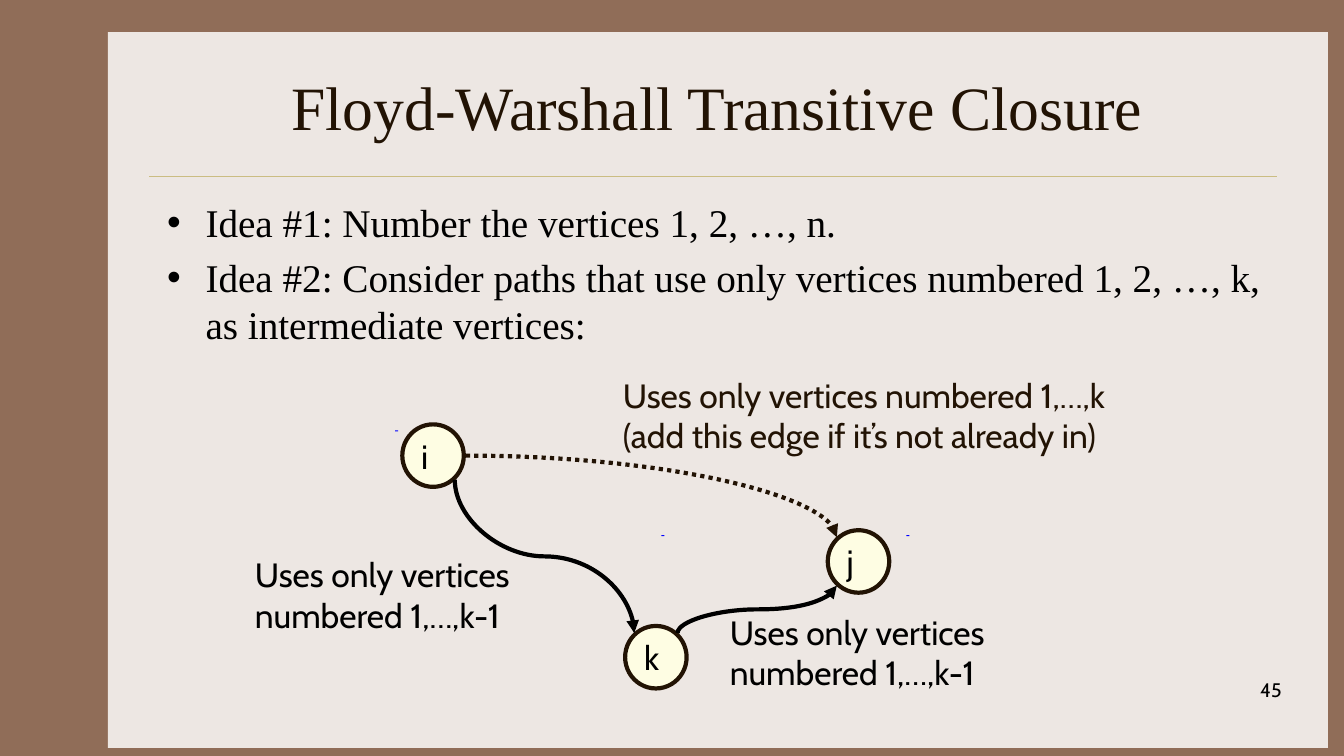
from dataclasses import dataclass
from typing import Optional

from lxml import etree
from pptx import Presentation
from pptx.dml.color import RGBColor
from pptx.enum import dml, shapes, text
from pptx.oxml import ns
from pptx.util import Inches, Pt

HUES = {
    "frame": "906D58", "paper": "EDE7E3", "rule": "CBBD83",
    "brown": "221304", "black": "000000", "cream": "FEFDE3", "blue": "0000FF",
}
SERIF, SANS = "Times New Roman", "Cabin"
LEFT, MID, RIGHT = text.PP_ALIGN.LEFT, text.PP_ALIGN.CENTER, text.PP_ALIGN.RIGHT


@dataclass
class Label:
    box: tuple
    lines: list
    size: int = 24
    face: str = SANS
    hue: str = "black"
    align: int = LEFT
    anchor: int = text.MSO_ANCHOR.TOP
    wrap: bool = False
    bullet: str = ""


@dataclass
class Block:
    box: tuple
    fill: str
    kind: int = shapes.MSO_SHAPE.RECTANGLE
    edge: Optional[str] = None
    name: str = ""


@dataclass
class Link:
    start: tuple
    end: tuple
    hue: str = "black"
    width: float = 3
    form: str = "curvedConnector3"
    turned: bool = False
    dash: Optional[int] = None
    arrow: bool = True


def paint(hue: str) -> RGBColor:
    return RGBColor.from_string(HUES[hue])


def add(parent, tag: str, **attrs):
    return etree.SubElement(parent, ns.qn(tag), **attrs)


def write(frame, label: Label) -> None:
    form = {"word_wrap": label.wrap, "vertical_anchor": label.anchor}
    for key, value in form.items():
        setattr(frame, key, value)
    for i, line in enumerate(label.lines):
        para = frame.paragraphs[0] if i == 0 else frame.add_paragraph()
        para.alignment = label.align
        if label.bullet:
            if i:
                para.space_before = Pt(label.size * 0.2)
            props = para._p.get_or_add_pPr()
            props.set("marL", str(Inches(0.38)))
            props.set("indent", str(-Inches(0.38)))
            add(props, "a:buFont", typeface="Arial")
            add(props, "a:buChar", char=label.bullet)
        run = para.add_run()
        run.text = line
        for key, value in {"name": label.face, "size": Pt(label.size)}.items():
            setattr(run.font, key, value)
        run.font.color.rgb = paint(label.hue)


def draw_label(slide, label: Label) -> None:
    box = slide.shapes.add_textbox(*map(Inches, label.box))
    write(box.text_frame, label)


def draw_block(slide, block: Block) -> None:
    shape = slide.shapes.add_shape(block.kind, *map(Inches, block.box))
    shape.shadow.inherit = False
    shape.fill.solid()
    shape.fill.fore_color.rgb = paint(block.fill)
    if block.edge:
        shape.line.color.rgb = paint(block.edge)
        shape.line.width = Pt(3)
    else:
        shape.line.fill.background()
    if block.name:
        write(shape.text_frame,
              Label(block.box, [block.name], anchor=text.MSO_ANCHOR.MIDDLE))


def draw_link(slide, link: Link) -> None:
    (x1, y1), (x2, y2) = link.start, link.end
    if link.turned:
        # Ends before a turn of 270 degrees about the centre
        cx, cy = (x1 + x2) / 2, (y1 + y2) / 2
        dx, dy = (x2 - x1) / 2, (y2 - y1) / 2
        x1, y1, x2, y2 = cx + dy, cy - dx, cx - dy, cy + dx
    wire = slide.shapes.add_connector(
        shapes.MSO_CONNECTOR.CURVE, *map(Inches, (x1, y1, x2, y2)))
    wire.line.color.rgb = paint(link.hue)
    wire.line.width = Pt(link.width)
    if link.dash:
        wire.line.dash_style = link.dash
    props = wire.element.spPr
    props.find(ns.qn("a:prstGeom")).set("prst", link.form)
    if link.turned:
        props.find(ns.qn("a:xfrm")).set("rot", str(270 * 60000))
    if link.arrow:
        add(props.find(ns.qn("a:ln")), "a:tailEnd", type="triangle")
    add(props, "a:effectLst")


def node(name: str, x: float, y: float) -> Block:
    return Block((x, y, 0.61, 0.62), "cream", shapes.MSO_SHAPE.OVAL, "brown", name)


BLOCKS = [
    Block((1.07, 0.32, 12.1, 7.1), "paper"),
    *[Block((x, y, 0.03, 0.01), "blue")
      for x, y in [(3.92, 4.27), (6.56, 5.31), (8.99, 5.31)]],
    node("k", 6.2, 6.21), node("j", 8.21, 5.26), node("i", 3.99, 4.21),
]
LINKS = [
    Link((1.48, 1.75), (12.67, 1.75), "rule", 0.25, "line", arrow=False),
    Link((4.51, 4.76), (6.29, 6.28), turned=True),
    Link((6.72, 6.28), (8.3, 5.81), turned=True),
    Link((4.62, 4.52), (8.3, 5.33), "brown", form="curvedConnector2",
         dash=dml.MSO_LINE.ROUND_DOT),
]
LOWER = ["Uses only vertices", "numbered 1,…,k-1"]
LABELS = [
    Label((1.56, 0.42, 11.11, 1.25), ["Floyd-Warshall Transitive Closure"], 44,
          SERIF, "brown", MID, text.MSO_ANCHOR.MIDDLE, True),
    Label((1.56, 1.92, 11.11, 4.5), [
        "Idea #1: Number the vertices 1, 2, …, n.",
        "Idea #2: Consider paths that use only vertices numbered 1, 2, …, k, "
        "as intermediate vertices:",
    ], 28, SERIF, wrap=True, bullet="•"),
    Label((10.03, 6.68, 2.78, 0.5), ["45"], 14, align=RIGHT, wrap=True),
    Label((2.43, 5.45, 2.93, 0.91), LOWER),
    Label((7.14, 6.02, 2.93, 0.91), LOWER),
    Label((6.08, 3.67, 5.42, 0.91), [
        "Uses only vertices numbered 1,…,k",
        "(add this edge if it’s not already in)",
    ], hue="brown"),
]


def main() -> None:
    deck = Presentation()
    deck.slide_width, deck.slide_height = Inches(13.33), Inches(7.5)
    slide = deck.slides.add_slide(deck.slide_layouts[6])
    slide.background.fill.solid()
    slide.background.fill.fore_color.rgb = paint("frame")

    # Panel and graph nodes, then edges, then wording
    for block in BLOCKS:
        draw_block(slide, block)
    for link in LINKS:
        draw_link(slide, link)
    for label in LABELS:
        draw_label(slide, label)
    deck.save("out.pptx")


if __name__ == "__main__":
    main()
